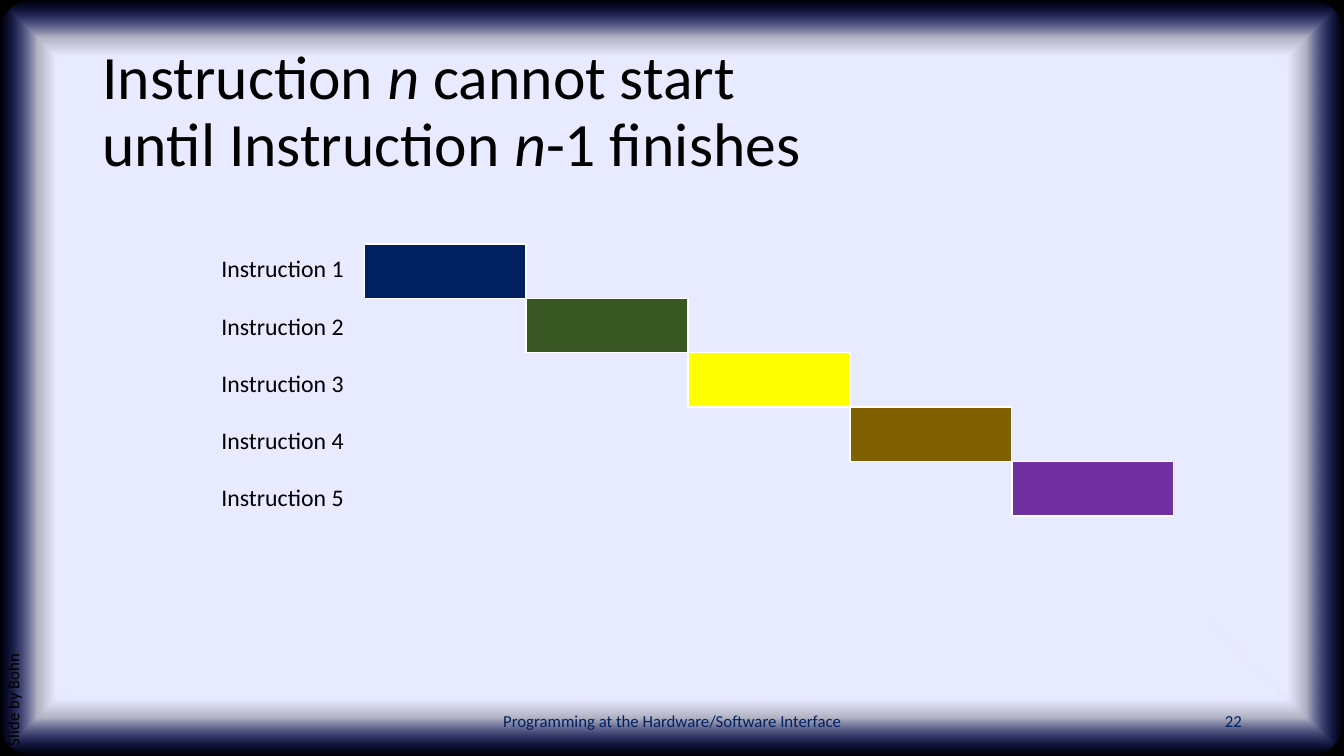
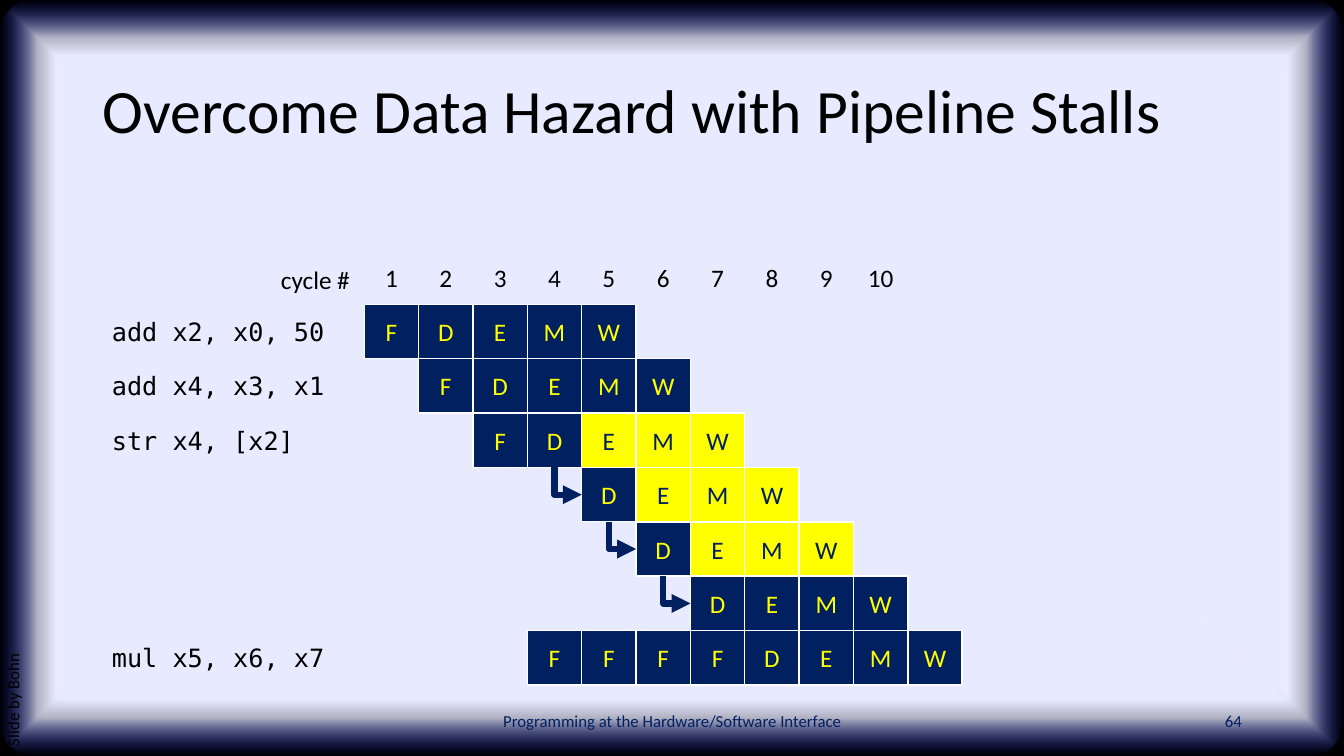
from dataclasses import dataclass

from lxml.etree import SubElement
from pptx import Presentation
from pptx.dml.color import RGBColor
from pptx.enum.shapes import MSO_CONNECTOR, MSO_SHAPE
from pptx.enum.text import MSO_ANCHOR, MSO_AUTO_SIZE, PP_ALIGN
from pptx.oxml import parse_xml
from pptx.oxml.ns import nsdecls, qn
from pptx.util import Cm, Pt


@dataclass(frozen=True)
class Theme:
    black: str = "000000"
    white: str = "FFFFFF"
    navy: str = "002060"
    green: str = "385723"
    yellow: str = "FFFF00"
    brown: str = "806000"
    purple: str = "7030A0"
    panel: str = "E8EAFF"
    glow: str = "162AFF"
    font: str = "Calibri"
    mono: str = "DejaVu Sans Mono"
    title: int = 44
    body: int = 18
    label: int = 17
    small: int = 12


T = Theme()

# Content: title lines are lists of (text, italic) parts
SEQUENTIAL = {
    "title": [[("Instruction ", False), ("n", True), (" cannot start", False)],
              [("until Instruction ", False), ("n", True), ("-1 finishes", False)]],
    "number": 22,
    "bars": [("Instruction 1", T.navy), ("Instruction 2", T.green),
             ("Instruction 3", T.yellow), ("Instruction 4", T.brown),
             ("Instruction 5", T.purple)],
}
STALLS = {
    "title": [[("Overcome Data Hazard with Pipeline Stalls", False)]],
    "number": 64,
    "cycles": 10,
    # code, first cycle, stages that run, stages that are stalled
    "rows": [("add x2, x0, 50", 1, "FDEMW", ""),
             ("add x4, x3, x1", 2, "FDEMW", ""),
             ("str x4, [x2]", 3, "FD", "EMW"),
             ("", 5, "D", "EMW"),
             ("", 6, "D", "EMW"),
             ("", 7, "DEMW", ""),
             ("mul x5, x6, x7", 4, "FFFFDEMW", "")],
}
FOOTER = "Programming at the Hardware/Software Interface"
CREDIT = "Slide by Bohn"

# Geometry in cm
WIDTH, HEIGHT = 33.87, 19.05
TITLE_BOX = (2.33, 1.01, 29.21, 3.68)
CREDIT_BOX = (-6.2, 11.84, 13.41, 1.02)
FOOTER_BOX = (11.23, 17.65, 11.43, 1.02)
NUMBER_BOX = (23.93, 17.65, 7.62, 1.02)
CELL = 1.37
GRID_LEFT = 9.18
BAR_TOP, BAR_WIDTH = 6.15, 4.08
BAR_LABELS_BOX = (5.33, 5.69, 3.63, 7.32)
PIPE_TOP = 7.67
CODE_LEFT, CODE_WIDTH = 2.57, 5.94
CYCLE_LEFT, CYCLE_WIDTH = 6.83, 2.34


def rgb(value):
    return RGBColor.from_string(value)


def cm(box):
    return [Cm(v) for v in box]


def place(shape, box):
    for name, value in zip(("left", "top", "width", "height"), cm(box)):
        setattr(shape, name, value)


def style_run(r, size, color=T.black, font=T.font, italic=None):
    for name, value in {"size": Pt(size), "name": font, "italic": italic}.items():
        setattr(r.font, name, value)
    r.font.color.rgb = rgb(color)


def write(shape, lines, size, color=T.black, font=T.font, align=PP_ALIGN.LEFT,
          anchor=MSO_ANCHOR.MIDDLE, wrap=True, spacing=None):
    """Fill a shape with one paragraph per line."""
    tf = shape.text_frame
    frame = {"word_wrap": wrap, "vertical_anchor": anchor,
             "auto_size": MSO_AUTO_SIZE.NONE}
    for name, value in frame.items():
        setattr(tf, name, value)
    for i, line in enumerate(lines):
        p = tf.add_paragraph() if i else tf.paragraphs[0]
        p.alignment, p.line_spacing = align, spacing
        r = p.add_run()
        r.text = line
        style_run(r, size, color, font)


def add_text(s, box, lines, size, **options):
    write(s.shapes.add_textbox(*cm(box)), lines, size, **options)


def add_block(s, box, fill, line=T.white, preset=MSO_SHAPE.RECTANGLE):
    sp = s.shapes.add_shape(preset, *cm(box))
    sp.shadow.inherit = False
    sp.fill.solid()
    sp.fill.fore_color.rgb = rgb(fill)
    if line:
        sp.line.color.rgb = rgb(line)
        sp.line.width = Pt(1)
    else:
        sp.line.fill.background()
    return sp


def glow_fill():
    stops = "".join(
        f'<a:gs pos="{pos * 1000}"><a:srgbClr val="{color}">'
        f'<a:alpha val="{alpha * 1000}"/></a:srgbClr></a:gs>'
        for pos, color, alpha in ((85, T.panel, 100), (90, T.panel, 75), (100, T.glow, 0)))
    return parse_xml(
        f'<a:gradFill {nsdecls("a")} rotWithShape="1"><a:gsLst>{stops}</a:gsLst>'
        '<a:path path="shape"><a:fillToRect l="50000" t="50000" r="50000" b="50000"/>'
        '</a:path></a:gradFill>')


def decorate_layout(layout, s):
    """Draw the frame on slide s, then move it behind everything on the layout."""
    full = (0, 0, WIDTH, HEIGHT)
    frame = add_block(s, full, T.black, None)
    panel = add_block(s, full, T.panel, None, MSO_SHAPE.ROUNDED_RECTANGLE)
    panel.adjustments[0] = 0.048
    spPr = panel.element.spPr
    spPr.replace(spPr.find(qn("a:solidFill")), glow_fill())
    for i, sp in enumerate((frame, panel)):
        layout.element.cSld.spTree.insert(2 + i, sp.element)


def add_base(prs, layout, content):
    """Add a slide with its title, footer, number and credit."""
    s = prs.slides.add_slide(layout)
    title, credit = s.shapes.title, s.placeholders[1]

    place(title, TITLE_BOX)
    write(title, [], T.title)
    p = title.text_frame.paragraphs[0]
    p.alignment, p.line_spacing = PP_ALIGN.LEFT, 0.9
    for i, line in enumerate(content["title"]):
        if i:
            p.add_line_break()
        for text, italic in line:
            r = p.add_run()
            r.text = text
            style_run(r, T.title, italic=italic)

    add_text(s, FOOTER_BOX, [FOOTER], T.small, color=T.navy, align=PP_ALIGN.CENTER)
    add_text(s, NUMBER_BOX, [str(content["number"])], T.small, color=T.navy,
             align=PP_ALIGN.RIGHT)

    place(credit, CREDIT_BOX)
    credit.rotation = 270
    write(credit, [CREDIT], T.small, anchor=MSO_ANCHOR.TOP, spacing=0.9)
    p = credit.text_frame.paragraphs[0]
    p.space_before = Pt(10)
    pPr = p._p.get_or_add_pPr()
    pPr.set("marL", "0")
    pPr.set("indent", "0")
    SubElement(pPr, qn("a:buNone"))
    return s


def add_stall_arrow(s, source, target):
    """Elbow arrow from the bottom of one cell to the left side of the next."""
    c = s.shapes.add_connector(MSO_CONNECTOR.ELBOW, 0, 0, 0, 0)
    c.begin_connect(source, 2)
    c.end_connect(target, 1)
    c.line.color.rgb = rgb(T.navy)
    c.line.width = Pt(4.5)
    spPr = c.element.spPr
    spPr.find(qn("a:prstGeom")).set("prst", "bentConnector2")
    xfrm = spPr.find(qn("a:xfrm"))
    xfrm.attrib.pop("flipV", None)
    xfrm.set("rot", "16200000")
    xfrm.set("flipH", "1")
    SubElement(spPr.find(qn("a:ln")), qn("a:tailEnd"), type="triangle")
    SubElement(spPr, qn("a:effectLst"))


def draw_sequential(s, bars):
    for i, (_, color) in enumerate(bars):
        add_block(s, (GRID_LEFT + i * BAR_WIDTH, BAR_TOP + i * CELL, BAR_WIDTH, CELL), color)
    add_text(s, BAR_LABELS_BOX, [label for label, _ in bars], T.label,
             anchor=MSO_ANCHOR.BOTTOM, wrap=False, spacing=2.0)


def draw_stalls(s, cycles, rows):
    def cell_box(cycle, row):
        return GRID_LEFT + (cycle - 1) * CELL, PIPE_TOP + row * CELL, CELL, CELL

    header_top = PIPE_TOP - CELL
    add_text(s, (CYCLE_LEFT, header_top + 0.05, CYCLE_WIDTH, CELL), ["cycle #"],
             T.body, wrap=False)
    for cycle in range(1, cycles + 1):
        add_text(s, cell_box(cycle, -1), [str(cycle)], T.body, align=PP_ALIGN.CENTER)

    held = None
    for row, (code, first, run, stalled) in enumerate(rows):
        cells = []
        for i, stage in enumerate(run + stalled):
            fill, ink = (T.navy, T.yellow) if i < len(run) else (T.yellow, T.navy)
            sp = add_block(s, cell_box(first + i, row), fill)
            write(sp, [stage], T.body, color=ink, align=PP_ALIGN.CENTER)
            cells.append(sp)
        if code:
            add_text(s, (CODE_LEFT, PIPE_TOP + row * CELL, CODE_WIDTH, CELL), [code],
                     T.body, font=T.mono, wrap=False)
        else:
            add_stall_arrow(s, held, cells[0])
        held = cells[len(run) - 1]


def main():
    prs = Presentation()
    prs.slide_width, prs.slide_height = Cm(WIDTH), Cm(HEIGHT)
    layout = prs.slide_layouts[1]

    s = add_base(prs, layout, SEQUENTIAL)
    decorate_layout(layout, s)
    draw_sequential(s, SEQUENTIAL["bars"])

    s = add_base(prs, layout, STALLS)
    draw_stalls(s, STALLS["cycles"], STALLS["rows"])

    prs.save("out.pptx")


if __name__ == "__main__":
    main()
